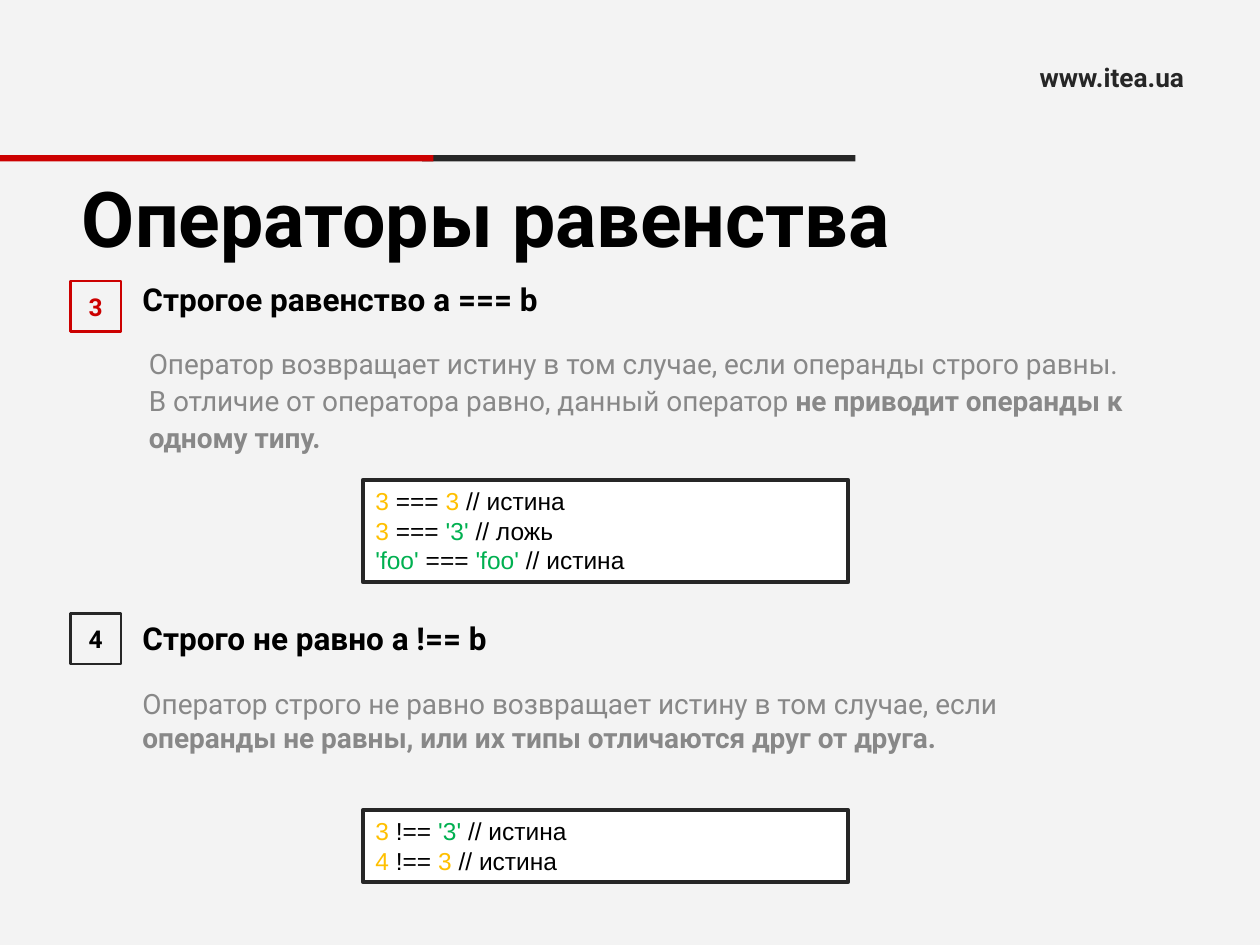
import pptx
import pptx.util
import pptx.dml.color
import pptx.enum.shapes
import pptx.enum.text
import pptx.oxml
import pptx.oxml.ns
from dataclasses import dataclass

Pt = pptx.util.Pt
Shape = pptx.enum.shapes.MSO_SHAPE
Align = pptx.enum.text.PP_ALIGN
Anchor = pptx.enum.text.MSO_ANCHOR
AutoSize = pptx.enum.text.MSO_AUTO_SIZE


@dataclass(frozen=True)
class Theme:
    # Colours
    paper: str = "F3F3F3"
    white: str = "FFFFFF"
    black: str = "000000"
    dark: str = "262626"
    red: str = "CC0000"
    grey: str = "888888"
    number: str = "FFC000"
    string: str = "00B050"
    # Fonts and type sizes
    text_font: str = "Roboto"
    code_font: str = "Arial"
    title_size: float = 44
    heading_size: float = 18
    body_size: float = 16
    site_size: float = 15
    small_size: float = 14


def rgb(value):
    return pptx.dml.color.RGBColor.from_string(value)


def apply(target, values):
    for name, value in values.items():
        setattr(target, name, value)


class SlideBuilder:
    def __init__(self, deck, theme):
        self.theme = theme
        self.slide = deck.slides.add_slide(deck.slide_layouts[1])
        self.slide.background.fill.solid()
        self.slide.background.fill.fore_color.rgb = rgb(theme.paper)

    def place(self, item, left, top, width, height):
        apply(item, {"left": Pt(left), "top": Pt(top),
                     "width": Pt(width), "height": Pt(height)})

    def span(self, para, text, size, colour, bold=False, font=None):
        span = para.add_run()
        span.text = text
        apply(span.font, {"size": Pt(size), "bold": bold,
                          "name": font or self.theme.text_font})
        span.font.color.rgb = rgb(colour)

    def title(self, text, *area):
        box = self.slide.shapes.title
        self.place(box, *area)
        apply(box.text_frame, {"word_wrap": True, "auto_size": AutoSize.NONE,
                               "vertical_anchor": Anchor.TOP, "margin_top": Pt(7)})
        para = box.text_frame.paragraphs[0]
        para.alignment = Align.LEFT
        self.span(para, text, self.theme.title_size, self.theme.black, True)

    def body(self, items, *area):
        """Each item is (indent, space before, line spacing, spans)."""
        box = self.slide.placeholders[1]
        self.place(box, *area)
        frame = box.text_frame
        apply(frame, {"word_wrap": True, "auto_size": AutoSize.NONE,
                      "vertical_anchor": Anchor.TOP, "margin_top": Pt(4.6)})
        for index, (indent, before, spacing, spans) in enumerate(items):
            para = frame.add_paragraph() if index else frame.paragraphs[0]
            properties = para._p.get_or_add_pPr()
            properties.set("marL", str(Pt(indent)))
            properties.set("indent", "0")
            properties.append(pptx.oxml.parse_xml(
                "<a:buNone %s/>" % pptx.oxml.ns.nsdecls("a")))
            apply(para, {"space_before": Pt(before), "line_spacing": spacing,
                         "alignment": Align.LEFT})
            for span in spans:
                self.span(para, *span)

    def rectangle(self, area, fill=None, line=None, weight=1.5):
        box = self.slide.shapes.add_shape(Shape.RECTANGLE, 0, 0, 0, 0)
        self.place(box, *area)
        box.shadow.inherit = False
        if fill:
            box.fill.solid()
            box.fill.fore_color.rgb = rgb(fill)
        else:
            box.fill.background()
        if line:
            box.line.color.rgb = rgb(line)
            box.line.width = Pt(weight)
        else:
            box.line.fill.background()
        return box

    def label(self, text, area, size, colour, line=None):
        frame = self.rectangle(area, line=line).text_frame
        apply(frame, {"word_wrap": True, "vertical_anchor": Anchor.MIDDLE})
        para = frame.paragraphs[0]
        para.alignment = Align.CENTER
        self.span(para, text, size, colour, True)

    def code(self, lines, *area):
        theme = self.theme
        frame = self.rectangle(area, theme.white, theme.dark, 2.5).text_frame
        apply(frame, {"word_wrap": True, "vertical_anchor": Anchor.TOP,
                      "auto_size": AutoSize.SHAPE_TO_FIT_TEXT})
        for index, spans in enumerate(lines):
            para = frame.add_paragraph() if index else frame.paragraphs[0]
            para.alignment = Align.LEFT
            for text, colour in spans:
                self.span(para, text, theme.small_size, colour, font=theme.code_font)


def main():
    theme = Theme()
    deck = pptx.Presentation()
    apply(deck, {"slide_width": Pt(720), "slide_height": Pt(540)})
    page = SlideBuilder(deck, theme)

    # Title and explanations
    page.title("Операторы равенства", 39.6, 90.7, 612, 47.5)
    heading = (theme.heading_size, theme.black, True)
    plain = (theme.body_size, theme.grey)
    strong = (*plain, True)
    page.body([
        (18, 0, 1.0, [("Строгое равенство a === b", *heading)]),
        (21.6, 14.5, 1.1, [
            ("Оператор возвращает истину в том случае, если операнды строго равны. "
             "В отличие от оператора равно, данный оператор ", *plain),
            ("не приводит операнды к одному типу.", *strong)]),
        (18, 94, 1.0, [("Строго не равно a !== b", *heading)]),
        (18, 17.5, 1.0, [
            ("Оператор строго не равно возвращает истину в том случае, если ", *plain),
            ("операнды не равны, или их типы отличаются друг от друга.", *strong)]),
    ], 56.2, 155.5, 595.4, 339.8)

    # Site address and header rule
    page.label("www.itea.ua", (562.3, 32.4, 146.2, 23), theme.site_size, theme.dark)
    for left, colour in ((241.2, theme.dark), (0, theme.red)):
        page.rectangle((left, 88.6, 247.7, 3.6), colour)

    # Numbered markers
    for text, top, colour, line in (("3", 160.6, theme.red, theme.red),
                                    ("4", 350.6, theme.black, theme.dark)):
        page.label(text, (40.3, top, 28.8, 28.8), theme.small_size, colour, line)

    # Code examples
    number, string, black = theme.number, theme.string, theme.black
    page.code([
        [("3", number), (" === ", black), ("3", number), (" // истина", black)],
        [("3", number), (" === ", black), ("'3' ", string), ("// ложь", black)],
        [("'foo' ", string), ("=== ", black), ("'foo' ", string), ("// истина", black)],
    ], 207.4, 274.3, 277.2, 58.3)
    page.code([
        [("3", number), (" !== ", black), ("'3' ", string), ("// истина", black)],
        [("4", number), (" !== ", black), ("3", number), (" // истина", black)],
    ], 207.4, 463, 277.2, 41)

    deck.save("out.pptx")


if __name__ == "__main__":
    main()
